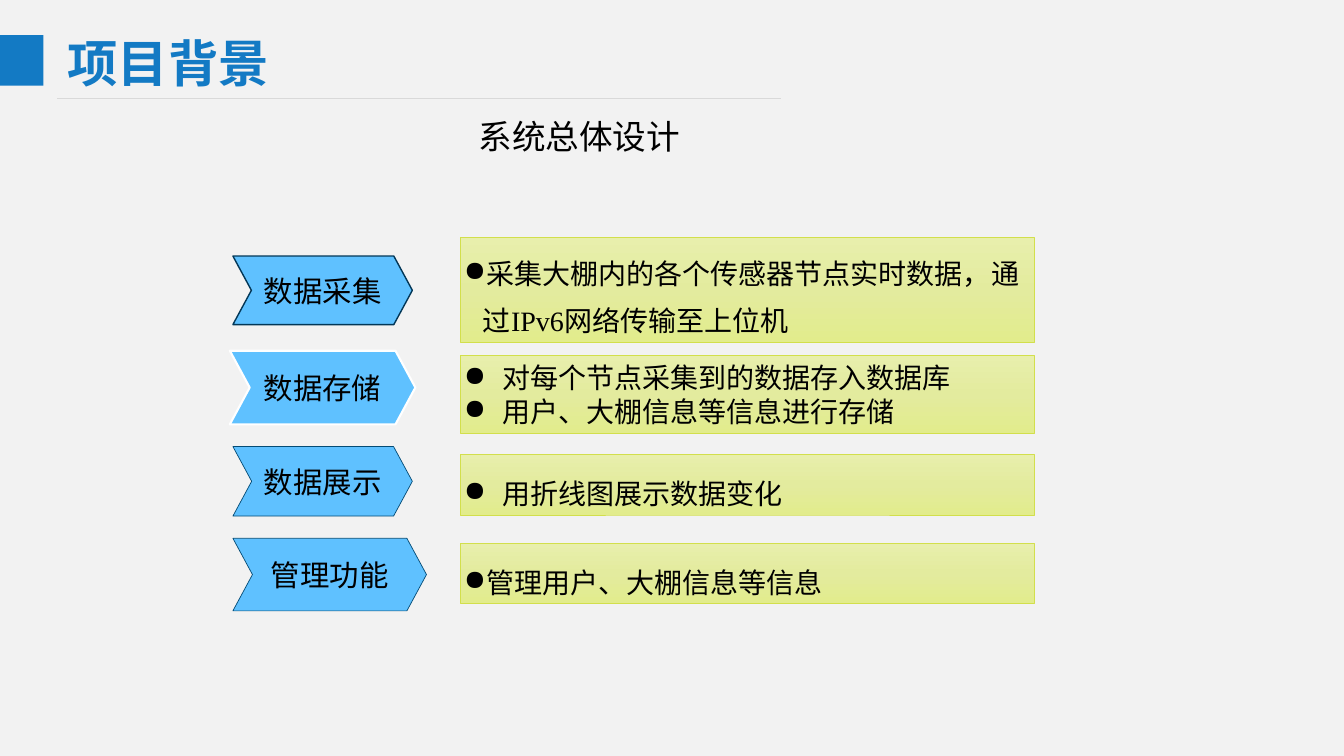
from copy import deepcopy
from dataclasses import dataclass

from lxml.etree import SubElement
from pptx import Presentation
from pptx.dml.color import RGBColor
from pptx.enum.shapes import MSO_CONNECTOR, MSO_SHAPE
from pptx.enum.text import MSO_ANCHOR, MSO_AUTO_SIZE, PP_ALIGN
from pptx.oxml.ns import qn
from pptx.shapes.autoshape import Shape
from pptx.slide import Slide
from pptx.text.text import TextFrame
from pptx.util import Inches, Pt

BACKGROUND = RGBColor(0xF2, 0xF2, 0xF2)
ACCENT = RGBColor(0x13, 0x7A, 0xC4)
RULE_GRAY = RGBColor(0xD9, 0xD9, 0xD9)
BLACK = RGBColor(0x00, 0x00, 0x00)
WHITE = RGBColor(0xFF, 0xFF, 0xFF)
SKY = RGBColor(0x5F, 0xC1, 0xFF)
NAVY = RGBColor(0x03, 0x37, 0x57)
DEEP_BLUE = RGBColor(0x04, 0x4B, 0x75)
LIME_LINE = RGBColor(0xD2, 0xDF, 0x4C)
LIME_STOPS = (
    RGBColor(0xE8, 0xEF, 0xAC),
    RGBColor(0xE3, 0xEB, 0x9E),
    RGBColor(0xE2, 0xEC, 0x8C),
)
SANS = "Noto Sans CJK SC"
SERIF = "Times New Roman"
PANEL_LEFT, PANEL_WIDTH = 4.57, 5.69


@dataclass(frozen=True)
class Area:
    left: float
    top: float
    width: float
    height: float

    def lengths(self) -> tuple[Inches, Inches, Inches, Inches]:
        return Inches(self.left), Inches(self.top), Inches(self.width), Inches(self.height)


@dataclass(frozen=True)
class Feature:
    label: str
    arrow: Area
    details: tuple[str, ...]
    panel_top: float
    panel_height: float
    indent: float
    spacing: float
    outline: RGBColor = DEEP_BLUE
    outline_width: float = 0.5
    font: str = SANS


FEATURES = (
    Feature("数据采集", Area(2.31, 2.54, 1.78, 0.68),
            ("采集大棚内的各个传感器节点实时数据，通过IPv6网络传输至上位机",),
            2.36, 1.04, 0.19, 1.4, NAVY, 1, SERIF),
    Feature("数据存储", Area(2.28, 3.48, 1.84, 0.73),
            ("对每个节点采集到的数据存入数据库", "用户、大棚信息等信息进行存储"),
            3.53, 0.77, 0.38, 1.0, WHITE, 1.5),
    Feature("数据展示", Area(2.31, 4.43, 1.78, 0.69),
            ("用折线图展示数据变化",), 4.51, 0.6, 0.38, 1.5),
    Feature("管理功能", Area(2.31, 5.34, 1.92, 0.72),
            ("管理用户、大棚信息等信息",), 5.39, 0.6, 0.19, 1.5),
)


def write_text(frame: TextFrame, *lines: str, size: float, color: RGBColor = BLACK,
               font: str = SANS, bold: bool = False, align: PP_ALIGN = PP_ALIGN.LEFT,
               anchor: MSO_ANCHOR = MSO_ANCHOR.TOP, inset: tuple[float, float] = (0.1, 0.05),
               spacing: float = 1.0, indent: float = 0) -> None:
    frame.word_wrap = True
    frame.auto_size = MSO_AUTO_SIZE.NONE
    frame.vertical_anchor = anchor
    frame.margin_left = frame.margin_right = Inches(inset[0])
    frame.margin_top = frame.margin_bottom = Inches(inset[1])
    for index, line in enumerate(lines):
        para = frame.add_paragraph() if index else frame.paragraphs[0]
        if indent:
            properties = para._p.get_or_add_pPr()
            properties.set("marL", str(Inches(indent)))
            properties.set("indent", str(-Inches(indent)))
            SubElement(properties, qn("a:buChar")).set("char", "●")
        para.alignment = align
        para.line_spacing = spacing
        span = para.add_run()
        span.text = line
        span.font.size = Pt(size)
        span.font.bold = bold
        span.font.color.rgb = color
        span.font.name = font
        SubElement(span._r.get_or_add_rPr(), qn("a:ea")).set("typeface", SANS)


def add_box(page: Slide, kind: MSO_SHAPE, area: Area, outline: RGBColor | None = None,
            outline_width: float = 0.5) -> Shape:
    box = page.shapes.add_shape(kind, *area.lengths())
    box.shadow.inherit = False
    if outline is None:
        box.line.fill.background()
    else:
        box.line.color.rgb = outline
        box.line.width = Pt(outline_width)
    return box


def fill_solid(box: Shape, color: RGBColor) -> None:
    box.fill.solid()
    box.fill.fore_color.rgb = color


def fill_lime(box: Shape) -> None:
    box.fill.gradient()
    box.fill.gradient_angle = 270
    first = box._element.spPr.find(".//" + qn("a:gs"))
    first.addnext(deepcopy(first))
    for index, (stop, color) in enumerate(zip(box.fill.gradient_stops, LIME_STOPS)):
        stop.position = index / 2
        stop.color.rgb = color


def add_heading(page: Slide) -> None:
    title = page.shapes.title
    title.left, title.top, title.width, title.height = Area(0.57, 0.27, 4.92, 0.71).lengths()
    write_text(title.text_frame, "项目背景", size=36, color=ACCENT, bold=True)
    rule = page.shapes.add_connector(
        MSO_CONNECTOR.STRAIGHT, Inches(0.57), Inches(0.98), Inches(7.75), Inches(0.98))
    rule.line.color.rgb = RULE_GRAY
    rule.line.width = Pt(0.5)
    SubElement(rule._element.spPr, qn("a:effectLst"))
    fill_solid(add_box(page, MSO_SHAPE.RECTANGLE, Area(0, 0.35, 0.43, 0.5)), ACCENT)
    subtitle = page.shapes.add_textbox(*Area(3.97, 1.1, 3.55, 0.5).lengths())
    write_text(subtitle.text_frame, "系统总体设计", size=24, align=PP_ALIGN.CENTER)


def add_feature(page: Slide, feature: Feature) -> None:
    arrow = add_box(page, MSO_SHAPE.CHEVRON, feature.arrow,
                    feature.outline, feature.outline_width)
    arrow.adjustments[0] = 0.27
    fill_solid(arrow, SKY)
    write_text(arrow.text_frame, feature.label, size=21, align=PP_ALIGN.CENTER,
               anchor=MSO_ANCHOR.MIDDLE, inset=(0.07, 0.04))
    area = Area(PANEL_LEFT, feature.panel_top, PANEL_WIDTH, feature.panel_height)
    panel = add_box(page, MSO_SHAPE.RECTANGLE, area, LIME_LINE)
    fill_lime(panel)
    write_text(panel.text_frame, *feature.details, size=20, font=feature.font,
               inset=(0.03, 0.05), spacing=feature.spacing, indent=feature.indent)


def main() -> None:
    deck = Presentation()
    deck.slide_width, deck.slide_height = Inches(13.33), Inches(7.5)
    page = deck.slides.add_slide(deck.slide_layouts.get_by_name("Title Only"))
    page.background.fill.solid()
    page.background.fill.fore_color.rgb = BACKGROUND
    add_heading(page)
    for feature in FEATURES:
        add_feature(page, feature)
    deck.save("out.pptx")


if __name__ == "__main__":
    main()
